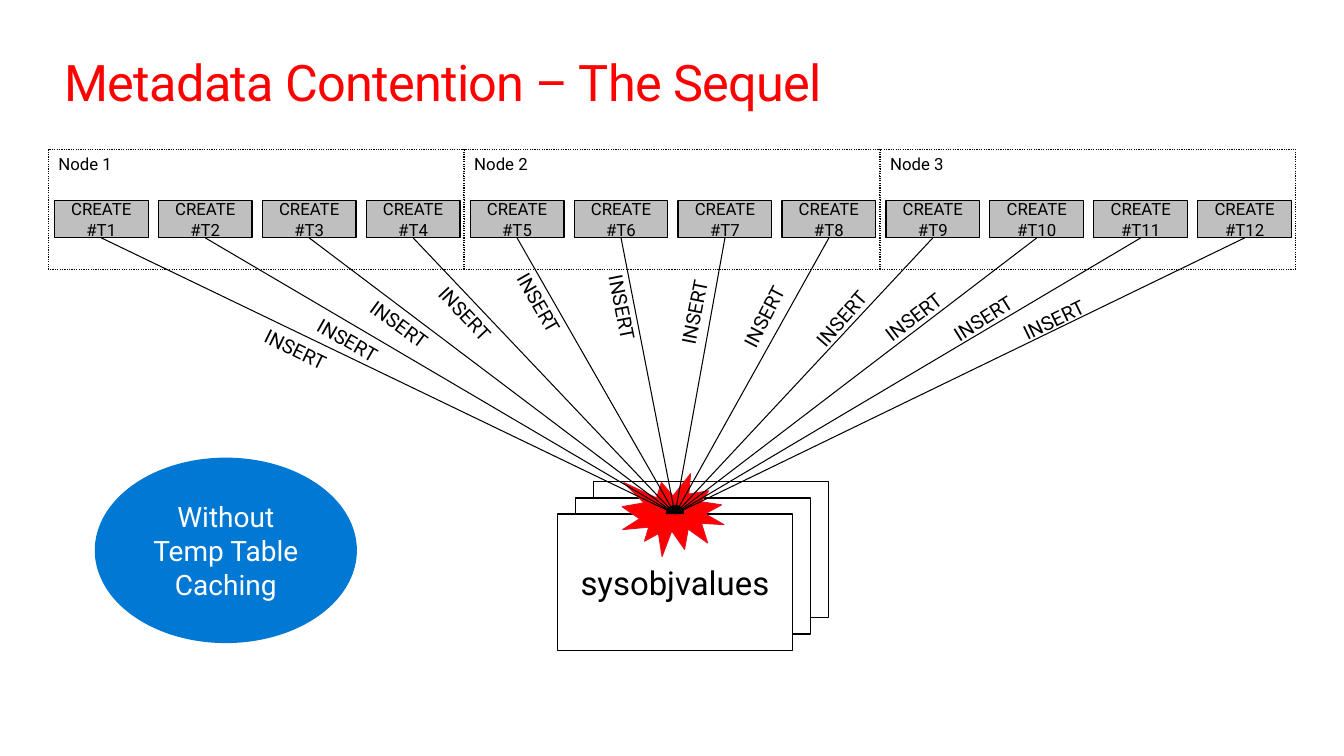
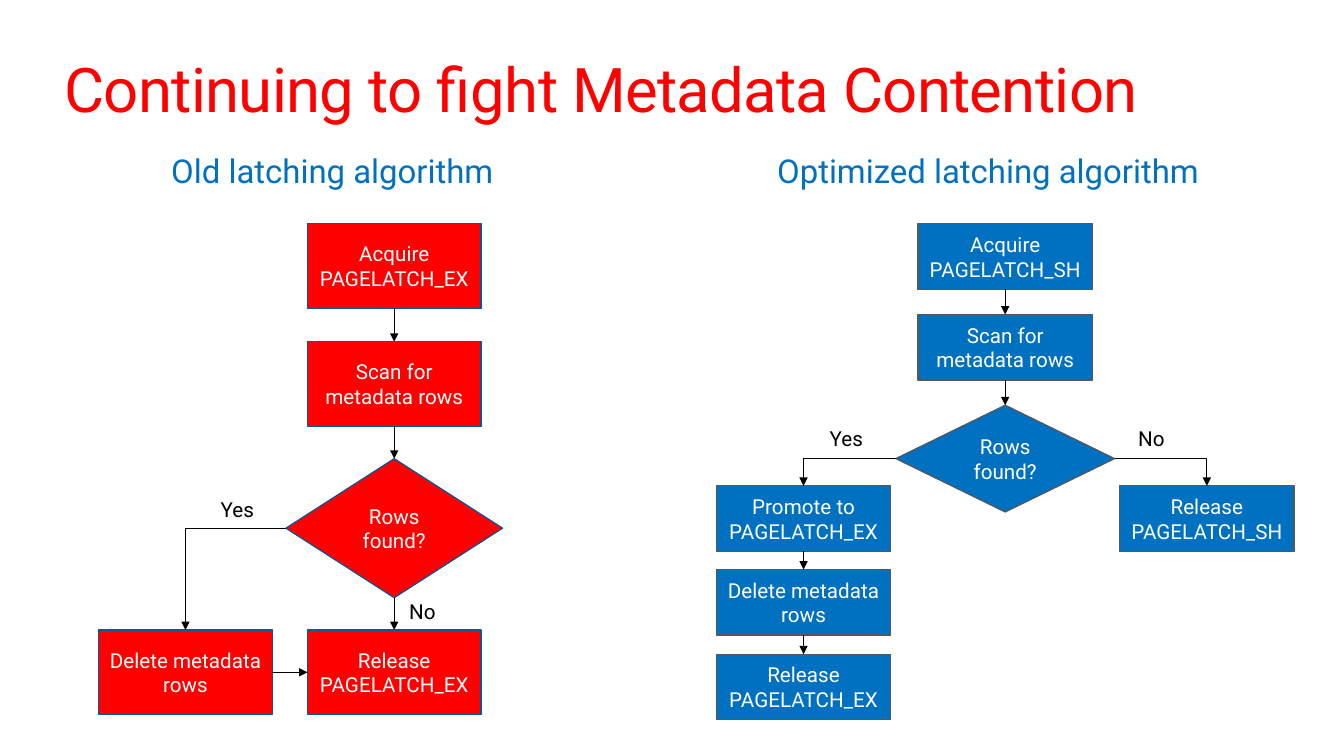
from lxml import etree
from pptx import Presentation
from pptx.dml.color import RGBColor
from pptx.enum import dml, shapes, text
from pptx.oxml.ns import qn
from pptx.util import Inches, Pt

FONT = "Roboto"
BLACK, WHITE, RED, BLUE, GREY = "000000", "FFFFFF", "FF0000", "0070C0", "BFBFBF"
SHAPE = shapes.MSO_SHAPE
LEFT, CENTER = text.PP_ALIGN.LEFT, text.PP_ALIGN.CENTER
TOP, MIDDLE = text.MSO_ANCHOR.TOP, text.MSO_ANCHOR.MIDDLE
# Connection sites of rectangles and diamonds
SITE_TOP, SITE_LEFT, SITE_BOTTOM, SITE_RIGHT = range(4)


def color(hex_string):
    return RGBColor.from_string(hex_string)


# Shared parts
def write(shape, wording, size, hex_color=BLACK, align=LEFT, anchor=TOP):
    frame = shape.text_frame
    frame.word_wrap = True
    frame.vertical_anchor = anchor
    paragraph = frame.paragraphs[0]
    paragraph.text = wording
    paragraph.alignment = align
    paragraph.font.name = FONT
    paragraph.font.size = Pt(size)
    paragraph.font.color.rgb = color(hex_color)
    return frame


def add_slide(presentation, title, size, height):
    slide = presentation.slides.add_slide(presentation.slide_layouts[5])
    shape = slide.shapes.title
    shape.left, shape.top = Inches(0.64), Inches(0.5)
    shape.width, shape.height = Inches(12.05), Inches(height)
    frame = write(shape, title, size, RED, anchor=MIDDLE)
    frame.margin_left = frame.margin_right = 0
    frame.margin_top = frame.margin_bottom = 0
    frame.paragraphs[0].runs[0]._r.get_or_add_rPr().set("spc", "-50")
    return slide


def add_box(slide, kind, left, top, width, height, fill, line=BLACK, weight=0.85):
    shape = slide.shapes.add_shape(
        kind, Inches(left), Inches(top), Inches(width), Inches(height))
    shape.shadow.inherit = False
    shape.fill.solid()
    shape.fill.fore_color.rgb = color(fill)
    if line:
        shape.line.color.rgb = color(line)
        shape.line.width = Pt(weight)
    else:
        shape.line.fill.background()
    return shape


def add_label(slide, wording, left, top, width, height, size, hex_color=BLACK):
    label = slide.shapes.add_textbox(
        Inches(left), Inches(top), Inches(width), Inches(height))
    write(label, wording, size, hex_color)
    return label


def add_arrow(slide, source, source_site, target, target_site):
    bent = source_site % 2 != target_site % 2
    kind = shapes.MSO_CONNECTOR.ELBOW if bent else shapes.MSO_CONNECTOR.STRAIGHT
    connector = slide.shapes.add_connector(kind, 0, 0, 0, 0)
    connector.begin_connect(source, source_site)
    connector.end_connect(target, target_site)
    connector.line.color.rgb = color(BLACK)
    connector.line.width = Pt(0.75)
    properties = connector._element.spPr
    if bent:
        properties.find(qn("a:prstGeom")).set("prst", "bentConnector2")
    etree.SubElement(properties.find(qn("a:ln")), qn("a:tailEnd"), type="triangle")
    etree.SubElement(properties, qn("a:effectLst"))


# Contention slide: left, top, width and angle of each label
INSERT_LABELS = [
    (2.49, 3.38, 1.22, 26), (3, 3.3, 1.22, 29.8), (3.5, 3.16, 1.22, 36.3),
    (4.13, 3.08, 1.22, 46.7), (4.71, 3.2, 1.68, 60.3), (5.41, 3.29, 1.68, 78.8),
    (6.13, 2.52, 1.68, 281.3), (6.93, 2.6, 1.68, 297.2), (7.86, 2.85, 1.22, 311.2),
    (8.6, 2.86, 1.22, 322.6), (9.3, 2.89, 1.22, 327.7), (10.01, 2.92, 1.22, 334.1),
]


def add_table_stack(slide, left, top):
    """Three overlapping cards with a burst; returns the front card."""
    for step in (2, 1, 0):
        card = add_box(slide, SHAPE.RECTANGLE, left + 0.18 * step,
                       top - 0.16 * step, 2.33, 1.35, WHITE)
    write(card, "sysobjvalues", 23.5, align=CENTER, anchor=MIDDLE)
    add_box(slide, SHAPE.EXPLOSION1, left + 0.64, top - 0.4, 1.01, 0.82,
            RED, "E81123", 0.75)
    return card


def add_nodes(slide, left, top, target):
    """Three nodes holding the sessions that all insert into the target."""
    for index in reversed(range(3)):
        node = add_box(slide, SHAPE.RECTANGLE, left + 4.125 * index, top,
                       4.12, 1.19, WHITE)
        node.line.dash_style = dml.MSO_LINE.ROUND_DOT
        write(node, f"Node {index + 1}", 12)
    for index, (label_left, label_top, width, angle) in enumerate(INSERT_LABELS):
        session = add_box(slide, SHAPE.RECTANGLE, left + 0.06 + 11.34 / 11 * index,
                          top + 0.51, 0.93, 0.37, GREY)
        write(session, f"CREATE #T{index + 1}", 12, align=CENTER, anchor=MIDDLE)
        add_arrow(slide, session, SITE_BOTTOM, target, SITE_TOP)
        label = add_label(slide, "INSERT", label_left, label_top, width, 0.34, 14)
        label.rotation = angle


def add_callout(slide, left, top):
    callout = add_box(slide, SHAPE.OVAL, left, top, 2.6, 1.84, "0078D4", None)
    frame = write(callout, "Without Temp Table Caching", 20, WHITE, CENTER, MIDDLE)
    frame.margin_left = frame.margin_right = Inches(0.15)


def contention_slide(presentation):
    slide = add_slide(presentation, "Metadata Contention – The Sequel", 36, 0.61)
    card = add_table_stack(slide, 5.53, 5.1)
    add_nodes(slide, 0.48, 1.48, card)
    add_callout(slide, 0.94, 4.54)


# Algorithm slide: steps give centre and top, labels give left and top,
# all measured from the corner of the chart
ACQUIRE, SCAN, FOUND, DELETE = "acquire", "scan", "found", "delete"
RELEASE, PROMOTE, RELEASE_SHARED = "release", "promote", "release shared"
DOWN = (SITE_BOTTOM, SITE_TOP)
ACROSS = (SITE_RIGHT, SITE_LEFT)
LEFT_DOWN = (SITE_LEFT, SITE_TOP)
RIGHT_DOWN = (SITE_RIGHT, SITE_TOP)

OLD_CHART = dict(
    heading=("Old latching algorithm", 0.62, 4.29),
    fill=RED, line="00599D", box=(1.72, 0.84), diamond=(2.15, 1.38),
    steps={
        ACQUIRE: ("Acquire PAGELATCH_EX", 2.93, 0.77),
        SCAN: ("Scan for metadata rows", 2.93, 1.94),
        FOUND: ("Rows found?", 2.93, 3.1),
        DELETE: ("Delete metadata rows", 0.86, 4.8),
        RELEASE: ("Release PAGELATCH_EX", 2.93, 4.8),
    },
    arrows=[(ACQUIRE, SCAN, DOWN), (SCAN, FOUND, DOWN), (FOUND, DELETE, LEFT_DOWN),
            (FOUND, RELEASE, DOWN), (DELETE, RELEASE, ACROSS)],
    labels=[("Yes", 1.11, 3.43), ("No", 2.98, 4.44)],
)
OPTIMIZED_CHART = dict(
    heading=("Optimized latching algorithm", 0.51, 4.95),
    fill=BLUE, line="57575A", box=(1.73, 0.65), diamond=(2.17, 1.06),
    steps={
        ACQUIRE: ("Acquire PAGELATCH_SH", 2.87, 0.77),
        SCAN: ("Scan for metadata rows", 2.87, 1.67),
        FOUND: ("Rows found?", 2.87, 2.57),
        PROMOTE: ("Promote to PAGELATCH_EX", 0.87, 3.37),
        DELETE: ("Delete metadata rows", 0.87, 4.2),
        RELEASE: ("Release PAGELATCH_EX", 0.87, 5.04),
        RELEASE_SHARED: ("Release PAGELATCH_SH", 4.87, 3.37),
    },
    arrows=[(ACQUIRE, SCAN, DOWN), (SCAN, FOUND, DOWN), (FOUND, PROMOTE, LEFT_DOWN),
            (PROMOTE, DELETE, DOWN), (DELETE, RELEASE, DOWN),
            (FOUND, RELEASE_SHARED, RIGHT_DOWN)],
    labels=[("Yes", 1.03, 2.73), ("No", 4.09, 2.73)],
)


def add_flowchart(slide, left, top, chart):
    heading, offset, heading_width = chart["heading"]
    add_label(slide, heading, left + offset, top, heading_width, 0.5, 23.5, BLUE)
    placed = {}
    for name, (wording, center, step_top) in chart["steps"].items():
        decision = name == FOUND
        kind = SHAPE.FLOWCHART_DECISION if decision else SHAPE.FLOWCHART_PROCESS
        width, height = chart["diamond" if decision else "box"]
        placed[name] = add_box(slide, kind, left + center - width / 2, top + step_top,
                               width, height, chart["fill"], chart["line"])
        write(placed[name], wording, 14.7, WHITE, CENTER, MIDDLE)
    for source, target, (source_site, target_site) in chart["arrows"]:
        add_arrow(slide, placed[source], source_site, placed[target], target_site)
    for wording, label_left, label_top in chart["labels"]:
        add_label(slide, wording, left + label_left, top + label_top, 0.86, 0.35, 14.7)


def algorithm_slide(presentation):
    slide = add_slide(presentation, "Continuing to fight Metadata Contention", 44, 0.74)
    add_flowchart(slide, 0.98, 1.45, OLD_CHART)
    add_flowchart(slide, 7.1, 1.45, OPTIMIZED_CHART)


def main():
    presentation = Presentation()
    presentation.slide_width, presentation.slide_height = Inches(13.33), Inches(7.5)
    contention_slide(presentation)
    algorithm_slide(presentation)
    presentation.save("out.pptx")


if __name__ == "__main__":
    main()
